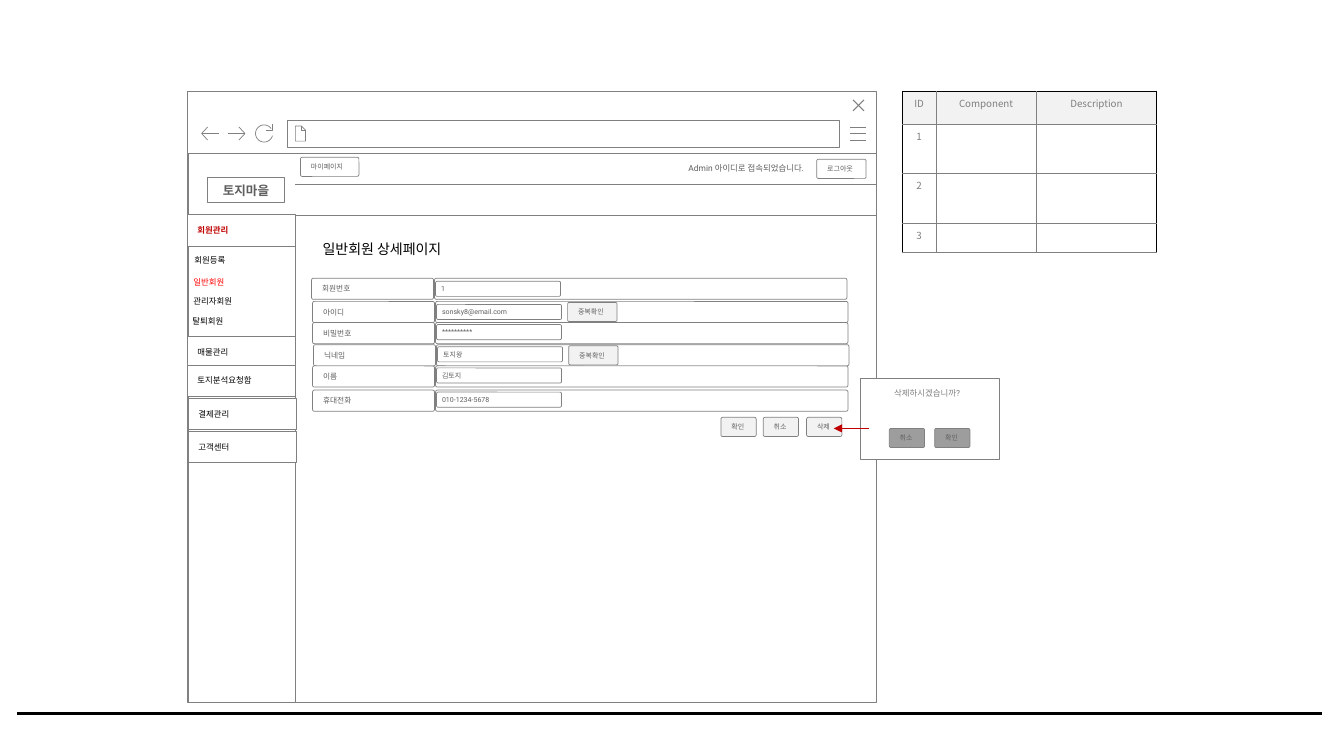
import math
from dataclasses import dataclass

import lxml.etree
import pptx
import pptx.dml.color
import pptx.enum.shapes
import pptx.enum.text
import pptx.oxml.ns
import pptx.util

EMU_PER_PX = 9144
LATIN = "Roboto"
KOREAN = "Noto Sans CJK KR"
COLORS = {
    "white": "FFFFFF", "black": "000000", "outline": "808080", "label": "5F5F5F",
    "button": "F2F2F2", "dialog": "9D9D9D", "accent": "C00000", "selected": "FF0000",
}
SHAPES = pptx.enum.shapes.MSO_SHAPE
ALIGN = pptx.enum.text.PP_ALIGN
ANCHOR = pptx.enum.text.MSO_ANCHOR
AUTO_SIZE = pptx.enum.text.MSO_AUTO_SIZE
Points = list[tuple[float, float]]


@dataclass
class Text:
    words: str
    size: float = 5
    color: str = "label"
    font: str = LATIN
    bold: bool = False
    align: ALIGN = ALIGN.LEFT
    wrap: bool = True
    grow: bool = True
    anchor: ANCHOR = ANCHOR.MIDDLE
    margins: tuple[int, int, int, int] = (10, 5, 10, 5)


@dataclass
class Box:
    left: int
    top: int
    width: int
    height: int
    fill: str = "white"
    radius: float | None = None
    text: Text | None = None


@dataclass
class Rule:
    start: tuple[int, int]
    end: tuple[int, int]
    color: str = "outline"
    weight: float = 0.5
    arrow: bool = False


@dataclass
class FormRow:
    label: str
    value: str
    left: int
    top: int
    inset: int = 2
    checked: bool = False


def px(value: float) -> pptx.util.Emu:
    return pptx.util.Emu(round(value * EMU_PER_PX))


def rgb(name: str) -> pptx.dml.color.RGBColor:
    return pptx.dml.color.RGBColor.from_string(COLORS[name])


def add_run(paragraph, text: Text) -> None:
    paragraph.alignment = text.align
    run = paragraph.add_run()
    run.text = text.words
    run.font.size = pptx.util.Pt(text.size)
    run.font.bold = text.bold
    run.font.name = text.font
    run.font.color.rgb = rgb(text.color)
    east_asian = lxml.etree.Element(pptx.oxml.ns.qn("a:ea"), typeface=KOREAN)
    run.font._element.find(pptx.oxml.ns.qn("a:latin")).addnext(east_asian)


def write(shape, text: Text) -> None:
    frame = shape.text_frame
    frame.margin_left, frame.margin_top, frame.margin_right, frame.margin_bottom = map(px, text.margins)
    frame.vertical_anchor = text.anchor
    frame.word_wrap = text.wrap
    frame.auto_size = AUTO_SIZE.SHAPE_TO_FIT_TEXT if text.grow else AUTO_SIZE.NONE
    add_run(frame.paragraphs[0], text)


def draw_box(slide, box: Box) -> None:
    kind = SHAPES.RECTANGLE if box.radius is None else SHAPES.ROUNDED_RECTANGLE
    shape = slide.shapes.add_shape(kind, px(box.left), px(box.top), px(box.width), px(box.height))
    if box.radius is not None:
        shape.adjustments[0] = box.radius
    shape.shadow.inherit = False
    shape.fill.solid()
    shape.fill.fore_color.rgb = rgb(box.fill)
    shape.line.color.rgb = rgb("outline")
    shape.line.width = pptx.util.Pt(0.5)
    if box.text:
        write(shape, box.text)


def draw_button(slide, left: int, top: int, words: str, width: int = 35, fill: str = "button") -> None:
    draw_box(slide, Box(left, top, width, 19, fill, 0.09, Text(words, wrap=False)))


def draw_text(slide, left: int, top: int, width: int, text: Text) -> None:
    write(slide.shapes.add_textbox(px(left), px(top), px(width), px(20)), text)


def draw_rule(slide, rule: Rule) -> None:
    line = slide.shapes.add_connector(
        pptx.enum.shapes.MSO_CONNECTOR.STRAIGHT, *map(px, rule.start + rule.end))
    line.line.color.rgb = rgb(rule.color)
    line.line.width = pptx.util.Pt(rule.weight)
    if rule.arrow:
        lxml.etree.SubElement(line.line._get_or_add_ln(), pptx.oxml.ns.qn("a:tailEnd"), type="triangle")
    lxml.etree.SubElement(line._element.spPr, pptx.oxml.ns.qn("a:effectLst"))


def draw_icon(slide, strokes: list[Points], weight: float = 0.5) -> None:
    scaled = [[(px(x), px(y)) for x, y in stroke] for stroke in strokes]
    builder = slide.shapes.build_freeform(*scaled[0][0])
    for index, stroke in enumerate(scaled):
        if index:
            builder.move_to(*stroke[0])
        builder.add_line_segments(stroke[1:], close=stroke[0] == stroke[-1])
    shape = builder.convert_to_shape()
    shape.shadow.inherit = False
    shape.fill.background()
    shape.line.color.rgb = rgb("outline")
    shape.line.width = pptx.util.Pt(weight)


def draw_browser(slide) -> None:
    for box in (Box(186, 152, 683, 545), Box(186, 91, 683, 61), Box(285, 119, 548, 27)):
        draw_box(slide, box)
    draw_icon(slide, [[(843, y), (859, y)] for y in (126, 132, 139)])
    draw_icon(slide, [[(846, 99), (857, 110)], [(857, 99), (846, 110)]], 0.75)
    draw_icon(slide, [[(299, 125), (299, 129), (303, 129)],
                      [(293, 125), (293, 140), (303, 140), (303, 129), (299, 125), (293, 125)]])
    for tip, tail, bend in ((200, 217, 206), (243, 226, 237)):
        draw_icon(slide, [[(bend, 126), (tip, 132.5), (bend, 139)], [(tip, 132.5), (tail, 132.5)]])
    angles = [math.radians(degrees) for degrees in range(15, 326, 10)]
    arc = [(262 + 8.5 * math.cos(angle), 132.5 + 8.5 * math.sin(angle)) for angle in angles]
    draw_icon(slide, [[(270, 123), (270, 129), (264, 129)], arc])


def draw_component_table(slide) -> None:
    widths, heights = (33, 100, 119), (33, 49, 49, 29)
    rows = [("ID", "Component", "Description")] + [(str(number), "", "") for number in (1, 2, 3)]
    table = slide.shapes.add_table(4, 3, px(895), px(90), px(sum(widths)), px(sum(heights))).table
    for column, width in zip(table.columns, widths):
        column.width = px(width)
    for row_index, words in enumerate(rows):
        table.rows[row_index].height = px(heights[row_index])
        for column_index, word in enumerate(words):
            cell = table.cell(row_index, column_index)
            cell.fill.solid()
            cell.fill.fore_color.rgb = rgb("white" if row_index else "button")
            paragraph = cell.text_frame.paragraphs[0]
            if word:
                add_run(paragraph, Text(word, 7, "outline", KOREAN, align=ALIGN.CENTER))
            else:
                lxml.etree.SubElement(paragraph._p, pptx.oxml.ns.qn("a:endParaRPr"), sz="700")
            outer = {"L": column_index == 0, "R": column_index == 2, "T": row_index == 0, "B": False}
            for position, (side, is_outer) in enumerate(outer.items()):
                border = lxml.etree.Element(pptx.oxml.ns.qn(f"a:ln{side}"), w="3175")
                fill = lxml.etree.SubElement(border, pptx.oxml.ns.qn("a:solidFill"))
                color = COLORS["black" if is_outer else "outline"]
                lxml.etree.SubElement(fill, pptx.oxml.ns.qn("a:srgbClr"), val=color)
                cell._tc.get_or_add_tcPr().insert(position, border)


def draw_header(slide) -> None:
    draw_rule(slide, Rule((187, 152), (187, 697)))
    logo = Text("토지마을", 9, bold=True, align=ALIGN.CENTER)
    draw_box(slide, Box(206, 176, 76, 25, radius=0, text=logo))
    for rule in (Rule((293, 183), (869, 183)), Rule((186, 214), (869, 214)), Rule((293, 214), (293, 697))):
        draw_rule(slide, rule)
    draw_button(slide, 810, 158, "로그아웃", 49, "white")
    draw_button(slide, 298, 156, "마이페이지", 58, "white")
    draw_text(slide, 673, 157, 143, Text("Admin 아이디로 접속되었습니다.", 6, wrap=False, anchor=ANCHOR.TOP))


def draw_form(slide) -> None:
    rows = (
        FormRow("회원번호", "1", 309, 276, 3),
        FormRow("아이디", "sonsky8@email.com", 310, 299, 3, checked=True),
        FormRow("비밀번호", "**********", 310, 320),
        FormRow("닉네임", "토지왕", 311, 342, checked=True),
        FormRow("이름", "김토지", 310, 363),
        FormRow("휴대전화", "010-1234-5678", 310, 387),
    )
    for row in rows:
        value = Text(row.value, margins=(5, 3, 21, 3))
        draw_box(slide, Box(row.left, row.top, 121, 21, radius=0.09, text=Text(row.label, 5.5)))
        draw_box(slide, Box(row.left + 122, row.top, 409, 21, radius=0.09))
        draw_box(slide, Box(row.left + 123, row.top + row.inset, 124, 15, radius=0.11, text=value))
        if row.checked:
            draw_button(slide, row.left + 253, row.top + 1, "중복확인", 49)
    for left, words in ((715, "확인"), (757, "취소"), (800, "삭제")):
        draw_button(slide, left, 414, words)


def draw_dialog(slide) -> None:
    draw_box(slide, Box(853, 375, 138, 81))
    draw_text(slide, 877, 380, 91, Text("삭제하시겠습니까?", 6, "outline", wrap=False, anchor=ANCHOR.TOP))
    for left, words in ((882, "취소"), (927, "확인")):
        draw_button(slide, left, 425, words, fill="dialog")
    draw_rule(slide, Rule((862, 425), (827, 425), "accent", 1, arrow=True))


def draw_menu(slide) -> None:
    sections = ((186, 213, "회원관리"), (186, 334, "매물관리"), (186, 362, "토지분석요청함"),
                (187, 395, "결제관리"), (187, 428, "고객센터"))
    for index, (left, top, words) in enumerate(sections):
        text = Text(words, 6, "black" if index else "accent", bold=not index, grow=False, margins=(10, 5, 20, 5))
        draw_box(slide, Box(left, top, 107, 31, text=text))
    pages = ((183, 248, "회원등록"), (182, 270, "일반회원"), (182, 289, "관리자회원"), (181, 309, "탈퇴회원"))
    for left, top, words in pages:
        color = "selected" if words == "일반회원" else "black"
        draw_text(slide, left, top, 76, Text(words, 6, color, KOREAN, anchor=ANCHOR.TOP))


def place_title(slide) -> None:
    title = slide.shapes.title
    title.left, title.top, title.width, title.height = map(px, (310, 234, 158, 27))
    write(title, Text("일반회원 상세페이지", 10, "black", KOREAN, anchor=ANCHOR.TOP))
    title.element.getparent().append(title.element)


def main() -> None:
    presentation = pptx.Presentation()
    presentation.slide_width, presentation.slide_height = px(1333), px(750)
    slide = presentation.slides.add_slide(presentation.slide_layouts[5])
    draw_rule(slide, Rule((17, 708), (1311, 708), "black", 1.75))
    for draw in (draw_browser, draw_component_table, draw_header, draw_form, draw_dialog, draw_menu, place_title):
        draw(slide)
    presentation.save("out.pptx")


if __name__ == "__main__":
    main()
